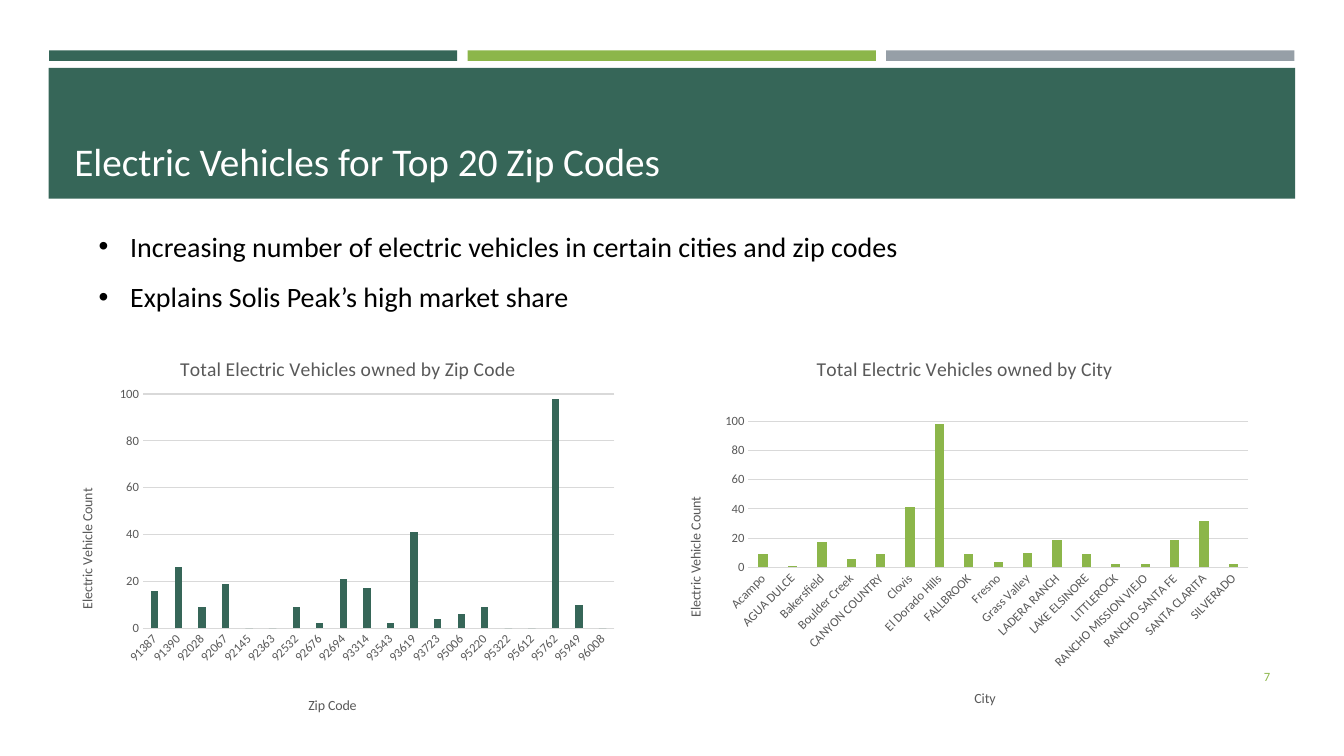
from lxml.etree import SubElement as Sub
from pptx import Presentation
from pptx.chart.data import CategoryChartData as Data
from pptx.dml.color import RGBColor
from pptx.enum.chart import XL_CHART_TYPE as Kind, XL_TICK_MARK as Tick
from pptx.enum.shapes import MSO_SHAPE as Form
from pptx.enum.text import MSO_ANCHOR as Anchor, PP_ALIGN as Align
from pptx.oxml.ns import qn
from pptx.util import Pt

GREEN = RGBColor(0x36, 0x66, 0x58)
LIME = RGBColor(0x8C, 0xB6, 0x4A)
SLATE = RGBColor(0x96, 0x9F, 0xA7)
GRID = RGBColor(0xD9, 0xD9, 0xD9)
GRAY = RGBColor(0x59, 0x59, 0x59)
WHITE = RGBColor(0xFF, 0xFF, 0xFF)
BLACK = RGBColor(0, 0, 0)


def put(item, vals):
    """Set each named value on an item."""
    for name, val in vals.items():
        setattr(item, name, val)


class Deck:
    """Hold the style and the current slide."""

    face = "Calibri"

    def __init__(self, slide):
        self.slide = slide

    def font(self, font, size, color):
        """Give a font its face, size and colour."""
        put(font, {"name": self.face, "size": Pt(size), "bold": False})
        font.color.rgb = color

    def bar(self, box, color):
        """Draw a plain filled rectangle."""
        shape = self.slide.shapes.add_shape(Form.RECTANGLE, *map(Pt, box))
        shape.shadow.inherit = False
        shape.fill.solid()
        shape.fill.fore_color.rgb = color
        shape.line.fill.background()

    def text(self, box, lines, size, color, frame={}, para={}, dot=False):
        """Add a text box with one paragraph a line."""
        body = self.slide.shapes.add_textbox(*map(Pt, box)).text_frame
        put(body, {"word_wrap": True, **frame})
        body.text = "\n".join(lines)
        for par in body.paragraphs:
            put(par, para)
            self.font(par.runs[0].font, size, color)
            if dot:
                props = par._p.get_or_add_pPr()
                put_xml = {"marL": Pt(22.5), "indent": -Pt(22.5)}
                for name, val in put_xml.items():
                    props.set(name, str(int(val)))
                Sub(props, qn("a:buFont"), typeface="Arial")
                Sub(props, qn("a:buChar"), char="•")

    def place(self, node, spot, index, inner=False):
        """Fix a chart part at fractions of the chart."""
        for old in node.findall(qn("c:layout")):
            node.remove(old)
        layout = node.makeelement(qn("c:layout"))
        node.insert(index, layout)
        area = Sub(layout, qn("c:manualLayout"))
        if inner:
            Sub(area, qn("c:layoutTarget"), val="inner")
        for name in ("xMode", "yMode"):
            Sub(area, qn("c:" + name), val="edge")
        for name, val in zip("xywh", spot):
            Sub(area, qn("c:" + name), val=str(val))

    def label(self, title, words, size, spot):
        """Write and place a chart or axis title."""
        title.text_frame.text = words
        self.font(title.text_frame.paragraphs[0].runs[0].font, size, GRAY)
        self.place(title._element, spot, 1)

    def turn(self, node, angle):
        """Rotate the text of a chart part."""
        body = next(node.iter(qn("a:bodyPr")))
        body.set("rot", str(angle * 60000))
        body.set("vert", "horz")

    def chart(self, box, color, counts, names, spots):
        """Add a column chart with placed titles."""
        data = Data()
        data.categories = list(counts)
        data.add_series("Series 1", list(counts.values()))
        chart = self.slide.shapes.add_chart(
            Kind.COLUMN_CLUSTERED, *map(Pt, box), data).chart
        put(chart, {"has_legend": False, "has_title": True})
        self.font(chart.font, 10, BLACK)
        plot = chart.plots[0]
        put(plot, {"gap_width": 219, "overlap": -27,
                   "vary_by_categories": False})
        fill = plot.series[0].format.fill
        fill.solid()
        fill.fore_color.rgb = color
        cat, val = chart.category_axis, chart.value_axis
        for axis in (cat, val):
            put(axis, {"major_tick_mark": Tick.NONE,
                       "minor_tick_mark": Tick.NONE, "has_title": True})
            self.font(axis.tick_labels.font, 9, GRAY)
        put(val, {"minimum_scale": 0, "maximum_scale": 100, "major_unit": 20,
                  "has_major_gridlines": True})
        val.format.line.fill.background()
        for line in (cat.format.line, val.major_gridlines.format.line):
            line.color.rgb = GRID
            line.width = Pt(0.75)
        heads = (chart.chart_title, cat.axis_title, val.axis_title)
        for head, words, size, spot in zip(heads, names, (14, 10, 10), spots):
            self.label(head, words, size, spot)
        self.turn(val.axis_title._element, -90)
        self.turn(cat._element.find(qn("c:txPr")), -45)
        area = next(chart._chartSpace.iter(qn("c:plotArea")))
        self.place(area, spots[3], 0, True)


ZIPS = {
    "91387": 16, "91390": 26, "92028": 9, "92067": 19, "92145": 0,
    "92363": 0, "92532": 9, "92676": 2, "92694": 21, "93314": 17,
    "93543": 2, "93619": 41, "93723": 4, "95006": 6, "95220": 9,
    "95322": 0, "95612": 0, "95762": 98, "95949": 10, "96008": 0,
}
TOWNS = {
    "Acampo": 9, "AGUA DULCE": 1, "Bakersfield": 17, "Boulder Creek": 6,
    "CANYON COUNTRY": 9, "Clovis": 41, "El Dorado Hills": 98,
    "FALLBROOK": 9, "Fresno": 4, "Grass Valley": 10, "LADERA RANCH": 19,
    "LAKE ELSINORE": 9, "LITTLEROCK": 2, "RANCHO MISSION VIEJO": 2,
    "RANCHO SANTA FE": 19, "SANTA CLARITA": 32, "SILVERADO": 2,
}


def main():
    """Build the slide and save it."""
    show = Presentation()
    put(show, {"slide_width": Pt(960), "slide_height": Pt(540)})
    deck = Deck(show.slides.add_slide(show.slide_layouts[6]))
    for col, color in enumerate((GREEN, LIME, SLATE)):
        deck.bar((35 + 299 * col, 36, 291.6, 7.5), color)
    deck.bar((34.8, 48.5, 890.4, 93.5), GREEN)
    deck.text((46, 55.5, 868, 80), ["Electric Vehicles for Top 20 Zip Codes"],
              28, WHITE, {"vertical_anchor": Anchor.BOTTOM})
    count = "Electric Vehicle Count"
    deck.chart((46, 237.6, 401, 275), GREEN, ZIPS,
               ("Total Electric Vehicles owned by Zip Code", "Zip Code", count),
               ((0.2, 0.05), (0.43, 0.94), (0.02, 0.4),
                (0.14, 0.16, 0.84, 0.61)))
    deck.chart((480, 237.6, 420, 275), LIME, TOWNS,
               ("Total Electric Vehicles owned by City", "City", count),
               ((0.24, 0.05), (0.51, 0.92), (0.02, 0.42),
                (0.13, 0.23, 0.85, 0.38)))
    deck.text((63.4, 148.3, 850, 75.6),
              ["Increasing number of electric vehicles in certain cities "
               "and zip codes", "Explains Solis Peak’s high market share"],
              20, BLACK, para={"line_spacing": 1.5}, dot=True)
    deck.text((831.6, 468.7, 82.8, 28.8), ["7"], 9, LIME,
              {"vertical_anchor": Anchor.MIDDLE}, {"alignment": Align.RIGHT})
    show.save("out.pptx")


if __name__ == "__main__":
    main()
